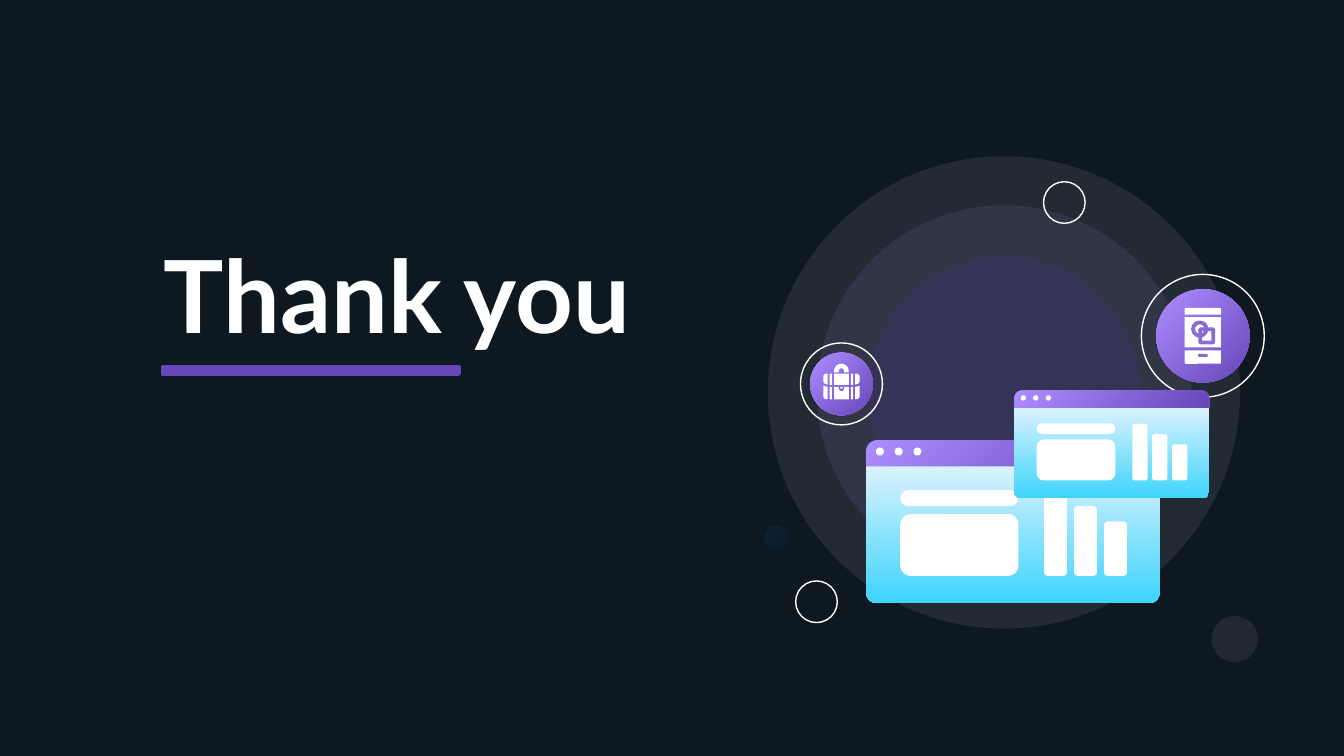
from math import cos, pi, sin

from pptx import Presentation
from pptx.dml.color import RGBColor
from pptx.enum.shapes import MSO_SHAPE
from pptx.enum.text import MSO_ANCHOR
from pptx.oxml.ns import qn
from pptx.util import Inches, Pt

OVAL = MSO_SHAPE.OVAL
RECT = MSO_SHAPE.RECTANGLE
ROUND = MSO_SHAPE.ROUNDED_RECTANGLE
TAB = MSO_SHAPE.ROUND_2_SAME_RECTANGLE
TOP = MSO_ANCHOR.TOP

COLS = 1000
CELL = Inches(10) // COLS
FINE = 100
WHITE = "FFFFFF"
PURPLE = "6746B9"
VIOLET = ("AD8DFF", PURPLE)
SKY = ("DAF2FE", "3ED4FD")
MID = "8A6AD3"


def color(text):
    return RGBColor.from_string(text)


def write(frame, text, font="Lato", size=18, tint=WHITE, bold=False):
    run = frame.paragraphs[0].add_run()
    run.text = text
    run.font.name = font
    run.font.size = Pt(size)
    run.font.bold = bold
    run.font.color.rgb = color(tint)


class Board:
    """Draws on one slide; lengths are cells of a 1000-column grid."""

    def __init__(self, slide):
        self.slide = slide
        self.host = slide.shapes
        slide.background.fill.solid()
        slide.background.fill.fore_color.rgb = color("0E1821")

    def group(self):
        self.host = self.slide.shapes.add_group_shape().shapes

    def ungroup(self):
        self.host = self.slide.shapes

    def paint(self, shape, fill, line=None, width=0.75, angle=45, alpha=None):
        """Fill is a hex string, a pair of them for a gradient, or None."""
        shape.shadow.inherit = False
        if fill is None:
            shape.fill.background()
        elif isinstance(fill, tuple):
            shape.fill.gradient()
            shape.fill.gradient_angle = 360 - angle
            for stop, tint in zip(shape.fill.gradient_stops, fill):
                stop.color.rgb = color(tint)
        else:
            shape.fill.solid()
            shape.fill.fore_color.rgb = color(fill)
        if alpha:
            for node in shape._element.spPr.iter(qn("a:srgbClr")):
                mark = node.makeelement(qn("a:alpha"), {"val": str(alpha * 1000)})
                node.append(mark)
        if line:
            shape.line.color.rgb = color(line)
            shape.line.width = Pt(width)
        else:
            shape.line.fill.background()

    def shape(self, kind, x, y, w, h, fill=WHITE, adj=(), **style):
        box = [round(n * CELL) for n in (x, y, w, h)]
        item = self.host.add_shape(kind, *box)
        for i, value in enumerate(adj):
            item.adjustments[i] = value
        self.paint(item, fill, **style)

    def disc(self, x, y, r, fill=WHITE, **style):
        """Circle placed by its centre."""
        self.shape(OVAL, x - r, y - r, 2 * r, 2 * r, fill, **style)

    def ring(self, x, y, r):
        self.disc(x, y, r, None, line=WHITE)

    def poly(self, points, fill=WHITE):
        """Closed outline; the pen keeps whole numbers, so it works in finer units."""
        points = [(x * FINE, y * FINE) for x, y in points]
        pen = self.host.build_freeform(*points[0], scale=CELL / FINE)
        pen.add_line_segments(points[1:], close=True)
        self.paint(pen.convert_to_shape(), fill)

    def title(self, text, x, y, w, h):
        box = self.host.add_textbox(*(n * CELL for n in (x, y, w, h)))
        frame = box.text_frame
        frame.word_wrap = True
        frame.vertical_anchor = TOP
        frame.margin_left = frame.margin_right = 10 * CELL
        frame.margin_top = frame.margin_bottom = 10 * CELL
        write(frame, text, size=54, bold=True)

    def badge(self, x, y, outer, inner):
        self.ring(x, y, outer)
        self.disc(x, y, inner, VIOLET)

    def phone(self):
        self.group()
        self.badge(895, 249.9, 45.7, 34.7)
        self.shape(TAB, 881.5, 229, 27, 5, adj=(0.2, 0))
        self.shape(RECT, 881.5, 236, 27, 22.5)
        self.disc(892.7, 244.9, 5, None, line=MID, width=2)
        self.shape(ROUND, 893, 245, 9.8, 9.8, None, adj=(0.05,), line=MID, width=2)
        self.shape(TAB, 881.5, 260.7, 27, 10, adj=(0, 0.1))
        self.shape(ROUND, 891.3, 263.3, 7.4, 2.3, MID, adj=(0.5,))
        self.ungroup()

    def window(self, x, y, scale):
        def part(kind, left, top, w, h, *fill, **style):
            size = (w * scale, h * scale)
            self.shape(kind, x + left * scale, y + top * scale, *size, *fill, **style)

        self.group()
        part(TAB, 0, 0, 218.5, 19.6, VIOLET, adj=(0.41, 0))
        part(TAB, 0, 19.4, 218.5, 101.7, SKY, adj=(0, 0.08), angle=90)
        for i in range(3):
            part(OVAL, 7.2 + 14 * i, 5.4, 6, 6)
        for i, h in enumerate((63.5, 52, 40.5)):
            part(ROUND, 132.4 + 22.3 * i, 100.9 - h, 17, h, adj=(0.16,))
        part(ROUND, 25.3, 37, 88, 12, adj=(0.5,))
        part(ROUND, 25.3, 54.9, 88, 46, adj=(0.17,))
        self.ungroup()

    def bag(self):
        mid = 626.1
        self.group()
        self.badge(mid, 285.7, 30.5, 23.3)
        flap = [(10.2, 278), (12, 278), (13.5, 279.5), (13.5, 284),
                (12.5, 285.5), (10.2, 286.2)]
        side = [(10.2, 288), (13.5, 287), (13.5, 295.5), (12, 297), (10.2, 297)]
        for sign in (-1, 1):
            for outline in (flap, side):
                self.poly([(mid + sign * dx, y) for dx, y in outline])
            for y, h in ((278, 8.4), (288, 9.2)):
                self.shape(RECT, mid + sign * 7.9 - 0.9, y, 1.8, h)
        self.shape(RECT, mid - 5.5, 278, 11, 8.4)
        panel = [(-5.5, 288), (-5.5, 297.2), (5.5, 297.2), (5.5, 288), (2, 288),
                 (2, 289.4), (1, 291), (-1, 291), (-2, 289.4), (-2, 288)]
        clasp = [(-0.9, 288), (-0.7, 289.2), (0.7, 289.2), (0.9, 288)]
        turns = [pi * i / 12 for i in range(13)]
        arch = [(-5.4 * cos(t), 276 - 5.4 * sin(t)) for t in turns]
        hole = [(2 * cos(t), 276 - 2 * sin(t)) for t in turns]
        handle = [(-5.4, 277), *arch, (5.4, 277), (2, 277), *hole, (-2, 277)]
        for outline in (panel, clasp, handle):
            self.poly([(mid + dx, y) for dx, y in outline])
        self.ungroup()


def main():
    deck = Presentation()
    deck.slide_width = COLS * CELL
    deck.slide_height = deck.slide_width * 9 // 16
    board = Board(deck.slides.add_slide(deck.slide_layouts[6]))

    board.group()
    for r, tint in ((175.7, "EEE8FE"), (139.2, "CDBAFF"), (101.3, "652AFE")):
        board.disc(747, 292, r, tint, alpha=9)
    board.ungroup()
    board.title("Thank you", 112, 163, 526, 103)

    board.phone()
    board.window(644.5, 327.6, 1)
    board.window(754.6, 290.5, 0.664)
    board.bag()

    board.shape(RECT, 121, 273.3, 220.5, 5, PURPLE, line=PURPLE, width=2)
    board.disc(577.3, 400, 8.5, ("0388E5", "0048A7"), alpha=9)
    board.ring(791.9, 150.7, 15.5)
    board.ring(607.5, 447.8, 15.5)
    board.disc(918.7, 475.5, 17.2, "DFD8F1", alpha=9)
    deck.save("out.pptx")


if __name__ == "__main__":
    main()
